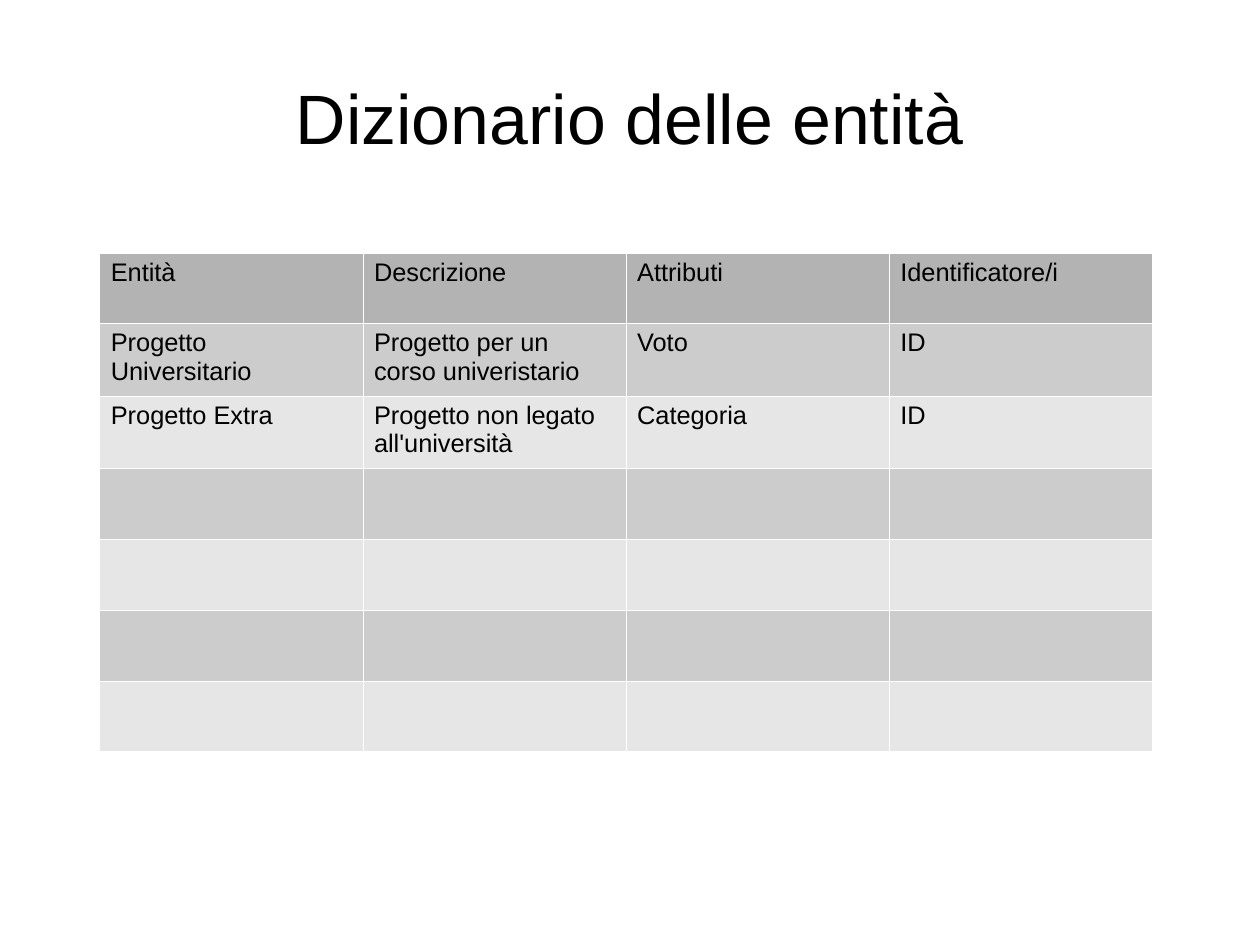
from dataclasses import dataclass

from lxml import etree
from pptx import Presentation
from pptx.dml.color import RGBColor
from pptx.enum import text
from pptx.oxml import ns
from pptx.util import Cm, Inches, Pt


@dataclass(frozen=True)
class Theme:
    font: str = "Arial"
    ink: str = "000000"
    header: str = "B3B3B3"
    bands: tuple = ("CCCCCC", "E6E6E6")
    border: str = "FFFFFF"
    border_pt: float = 0.06
    title_size: int = 44
    cell_size: int = 16


THEME = Theme()
COLS, ROWS = 4, 7
ENTITIES = [
    ("Entità", "Descrizione", "Attributi", "Identificatore/i"),
    ("Progetto Universitario", "Progetto per un corso univeristario", "Voto", "ID"),
    ("Progetto Extra", "Progetto non legato all'università", "Categoria", "ID"),
]


def write(tf, content, size, align=text.PP_ALIGN.LEFT):
    p = tf.paragraphs[0]
    p.alignment = align
    r = p.add_run()
    r.text = content
    r.font.name = THEME.font
    r.font.size = Pt(size)
    r.font.color.rgb = RGBColor.from_string(THEME.ink)


def set_borders(cell):
    tc_pr = cell._tc.get_or_add_tcPr()
    for i, side in enumerate(("lnL", "lnR", "lnT", "lnB")):
        ln = etree.Element(ns.qn(f"a:{side}"), w=str(Pt(THEME.border_pt)))
        fill = etree.SubElement(ln, ns.qn("a:solidFill"))
        etree.SubElement(fill, ns.qn("a:srgbClr"), val=THEME.border)
        tc_pr.insert(i, ln)


def add_title(s, content, x, y, w, h):
    sp = s.shapes.add_textbox(Inches(x), Inches(y), Inches(w), Inches(h))
    tf = sp.text_frame
    tf.word_wrap = True
    tf.vertical_anchor = text.MSO_ANCHOR.MIDDLE
    tf.margin_left = tf.margin_right = tf.margin_top = tf.margin_bottom = 0
    write(tf, content, THEME.title_size, text.PP_ALIGN.CENTER)


def add_dictionary(s, entries, x, y, w, h):
    frame = s.shapes.add_table(ROWS, COLS, Inches(x), Inches(y), Inches(w), Inches(h))
    table = frame.table
    for col in table.columns:
        col.width = Inches(w / COLS)
    for i, row in enumerate(table.rows):
        row.height = Inches(h / ROWS)
        color = THEME.bands[(i - 1) % 2] if i else THEME.header
        for j, cell in enumerate(row.cells):
            cell.fill.solid()
            cell.fill.fore_color.rgb = RGBColor.from_string(color)
            set_borders(cell)
            if i < len(entries):
                write(cell.text_frame, entries[i][j], THEME.cell_size)


def main():
    prs = Presentation()
    prs.slide_width = Cm(28)
    prs.slide_height = Cm(21)
    s = prs.slides.add_slide(prs.slide_layouts[6])
    add_title(s, "Dizionario delle entità", 0.55, 0.33, 9.92, 1.38)
    add_dictionary(s, ENTITIES, 0.87, 2.21, 9.21, 4.34)
    prs.save("out.pptx")


if __name__ == "__main__":
    main()
